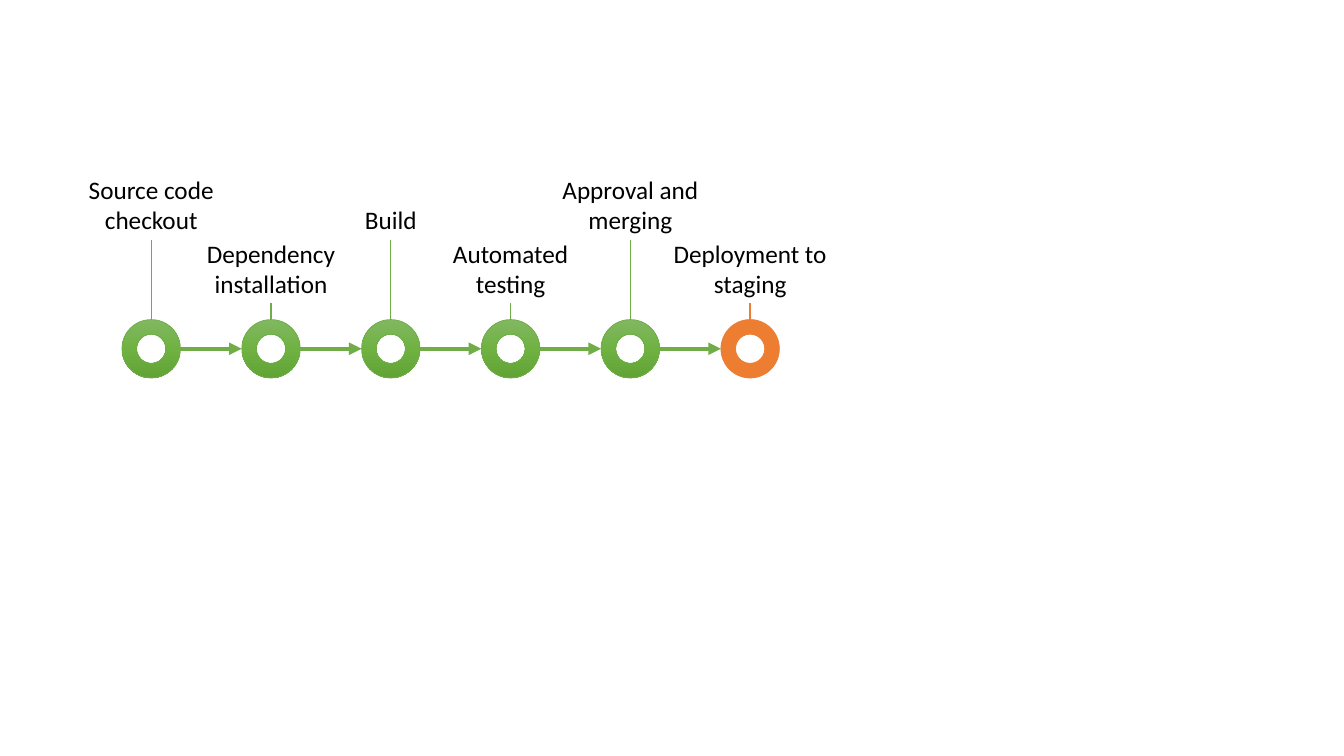
import copy
from dataclasses import dataclass

import pptx
import pptx.dml.color
import pptx.enum.shapes
import pptx.enum.text
import pptx.oxml.ns
import pptx.oxml.xmlchemy
import pptx.util
from pptx.util import Inches

HUES = {
    "green": "70AD47", "orange": "ED7D31", "black": "000000",
    "top": "81B861", "mid": "6FB242", "low": "62A336",
}
FIRST, LAST = 1.5, 7.44  # centres of the end rings
AXIS, RING = 3.46, 0.58
WIDE = 1.97
HIGH, LOW = 2.38, 3.01  # bottoms of the two label rows


@dataclass
class Step:
    text: str
    tall: float = 0.71
    hue: str = "green"


STEPS = [
    Step("Source code checkout"),
    Step("Dependency installation"),
    Step("Build", tall=0.4),
    Step("Automated testing"),
    Step("Approval and merging"),
    Step("Deployment to staging", hue="orange"),
]


def color(name: str) -> pptx.dml.color.RGBColor:
    return pptx.dml.color.RGBColor.from_string(HUES[name])


def shade(ring) -> None:
    """Fill a ring with the three-stop green gradient, light at the top."""
    ring.fill.gradient()
    ring.fill.gradient_angle = 270
    stops = ring._element.spPr.find(".//" + pptx.oxml.ns.qn("a:gsLst"))
    stops.insert(1, copy.deepcopy(stops[0]))
    for stop, name, spot in zip(ring.fill.gradient_stops, ("top", "mid", "low"), (0, 0.5, 1)):
        stop.color.rgb = color(name)
        stop.position = spot


def add_ring(slide, mid: float, hue: str):
    ring = slide.shapes.add_shape(
        pptx.enum.shapes.MSO_SHAPE.DONUT, Inches(mid - RING / 2),
        Inches(AXIS - RING / 2), Inches(RING), Inches(RING))
    ring.shadow.inherit = False
    if hue == "green":
        shade(ring)
    else:
        ring.fill.solid()
        ring.fill.fore_color.rgb = color(hue)
    ring.line.color.rgb = color(hue)
    ring.line.width = pptx.util.Pt(0.5)
    return ring


def add_label(slide, mid: float, base: float, step: Step):
    box = slide.shapes.add_textbox(
        Inches(mid - WIDE / 2), Inches(base - step.tall), Inches(WIDE), Inches(step.tall))
    frame = box.text_frame
    frame.word_wrap = True
    frame.auto_size = pptx.enum.text.MSO_AUTO_SIZE.SHAPE_TO_FIT_TEXT
    frame.vertical_anchor = pptx.enum.text.MSO_ANCHOR.BOTTOM
    para = frame.paragraphs[0]
    para.text = step.text
    para.alignment = pptx.enum.text.PP_ALIGN.CENTER
    para.font.name = "Calibri"
    para.font.size = pptx.util.Pt(18)
    para.font.color.rgb = color("black")
    return box


def add_line(slide, start: tuple[float, float], end: tuple[float, float],
             hue: str, width: float, arrow: bool = False):
    line = slide.shapes.add_connector(
        pptx.enum.shapes.MSO_CONNECTOR.STRAIGHT, *map(Inches, start + end))
    line.line.color.rgb = color(hue)
    line.line.width = pptx.util.Pt(width)
    if arrow:
        head = pptx.oxml.xmlchemy.OxmlElement("a:tailEnd")
        head.set("type", "triangle")
        line.line._get_or_add_ln().append(head)
    line._element.spPr.append(pptx.oxml.xmlchemy.OxmlElement("a:effectLst"))
    return line


def main() -> None:
    deck = pptx.Presentation()
    deck.slide_width, deck.slide_height = Inches(13.33), Inches(7.5)
    slide = deck.slides.add_slide(deck.slide_layouts[6])
    pitch = (LAST - FIRST) / (len(STEPS) - 1)
    for i, step in enumerate(STEPS):
        mid = FIRST + i * pitch
        base = LOW if i % 2 else HIGH
        ring = add_ring(slide, mid, step.hue)
        label = add_label(slide, mid, base, step)
        stem = add_line(slide, (mid, base), (mid, AXIS - RING / 2), step.hue, 1)
        stem.begin_connect(label, 2)
        stem.end_connect(ring, 0)
        if i:
            add_line(slide, (mid - pitch + RING / 2, AXIS), (mid - RING / 2, AXIS),
                     "green", 3, arrow=True)
    deck.save("out.pptx")


if __name__ == "__main__":
    main()
